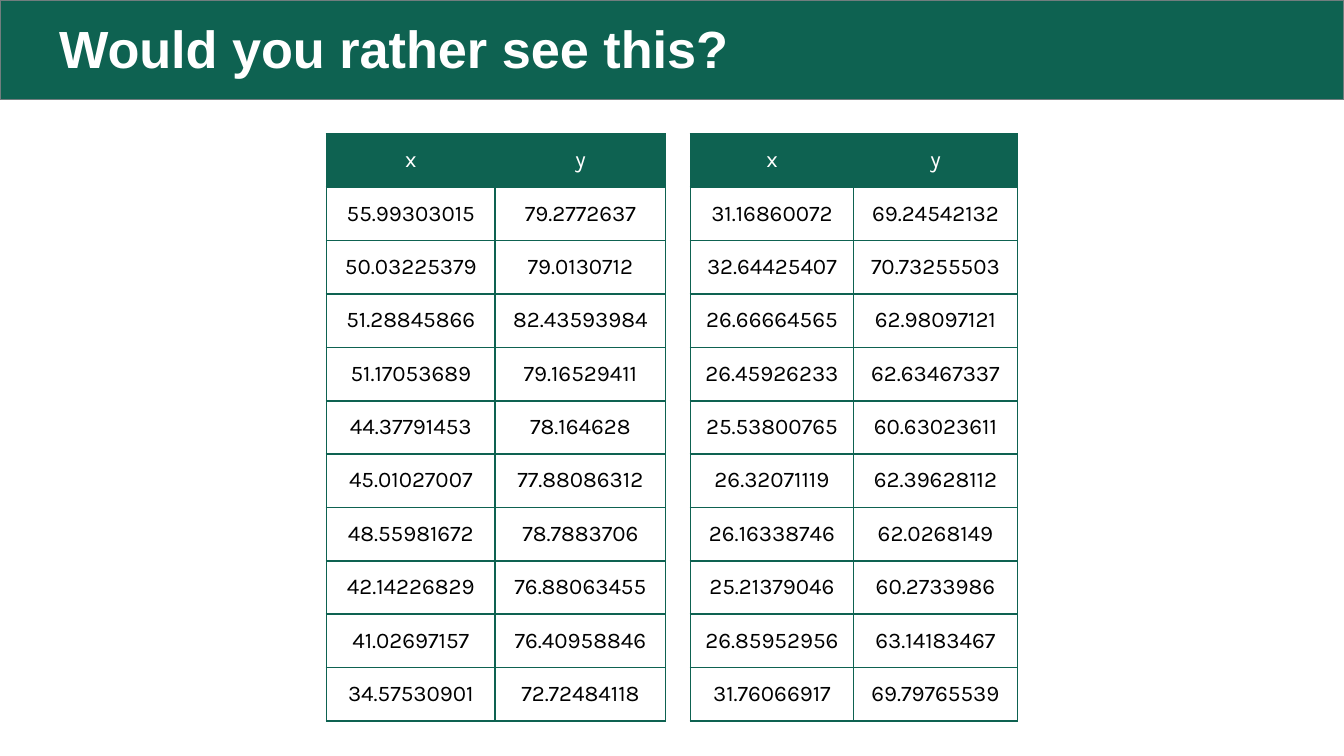
"""Build a slide that shows x and y values in two side-by-side tables."""
from lxml.etree import SubElement
from pptx import Presentation
from pptx.dml.color import RGBColor
from pptx.enum.shapes import MSO_SHAPE
from pptx.enum.text import MSO_ANCHOR, PP_ALIGN
from pptx.oxml.ns import qn
from pptx.util import Cm, Pt

GREEN = RGBColor(0x0E, 0x62, 0x51)
GRAY = RGBColor(0x71, 0x7D, 0x7E)
WHITE = RGBColor(0xFF, 0xFF, 0xFF)
BLACK = RGBColor(0x00, 0x00, 0x00)
MARGIN = Cm(0.25)
ROW_HEIGHT = Cm(1)
HEADER = ("x", "y")

LEFT_POINTS = [
    ("55.99303015", "79.2772637"),
    ("50.03225379", "79.0130712"),
    ("51.28845866", "82.43593984"),
    ("51.17053689", "79.16529411"),
    ("44.37791453", "78.164628"),
    ("45.01027007", "77.88086312"),
    ("48.55981672", "78.7883706"),
    ("42.14226829", "76.88063455"),
    ("41.02697157", "76.40958846"),
    ("34.57530901", "72.72484118"),
]
RIGHT_POINTS = [
    ("31.16860072", "69.24542132"),
    ("32.64425407", "70.73255503"),
    ("26.66664565", "62.98097121"),
    ("26.45926233", "62.63467337"),
    ("25.53800765", "60.63023611"),
    ("26.32071119", "62.39628112"),
    ("26.16338746", "62.0268149"),
    ("25.21379046", "60.2733986"),
    ("26.85952956", "63.14183467"),
    ("31.76066917", "69.79765539"),
]
TABLES = [
    (Cm(6.17), (Cm(3.19), Cm(3.22)), LEFT_POINTS),
    (Cm(13.05), (Cm(3.08), Cm(3.1)), RIGHT_POINTS),
]


def add_borders(cell):
    properties = cell._tc.get_or_add_tcPr()
    for side in ("a:lnL", "a:lnR", "a:lnT", "a:lnB"):
        line = SubElement(properties, qn(side), w=str(Pt(1)))
        fill = SubElement(line, qn("a:solidFill"))
        SubElement(fill, qn("a:srgbClr"), val=str(GREEN))


presentation = Presentation()
presentation.slide_width = Cm(25.4)
presentation.slide_height = Cm(14.29)
slide = presentation.slides.add_slide(presentation.slide_layouts[6])

banner = slide.shapes.add_shape(MSO_SHAPE.RECTANGLE, 0, 0, presentation.slide_width, Cm(1.88))
banner.shadow.inherit = False
banner.fill.solid()
banner.fill.fore_color.rgb = GREEN
banner.line.color.rgb = GRAY
banner.line.width = Pt(0.75)

title = slide.shapes.add_textbox(Cm(0.87), Cm(0.15), Cm(23.67), Cm(1.6))
title_frame = title.text_frame
title_frame.word_wrap = True
title_frame.vertical_anchor = MSO_ANCHOR.BOTTOM
title_frame.margin_left = title_frame.margin_right = MARGIN
title_frame.margin_top = title_frame.margin_bottom = MARGIN
paragraph = title_frame.paragraphs[0]
paragraph.text = "Would you rather see this?"
paragraph.font.name = "Arial"
paragraph.font.size = Pt(28)
paragraph.font.bold = True
paragraph.font.color.rgb = WHITE

for left, widths, points in TABLES:
    rows = [HEADER, *points]
    shape = slide.shapes.add_table(
        len(rows), len(HEADER), left, Cm(2.53), sum(widths), ROW_HEIGHT * len(rows)
    )
    table = shape.table
    table.first_row = False
    table.horz_banding = False
    for column, width in zip(table.columns, widths):
        column.width = width
    for row_index, values in enumerate(rows):
        table.rows[row_index].height = ROW_HEIGHT
        for column_index, value in enumerate(values):
            cell = table.cell(row_index, column_index)
            cell.margin_left = cell.margin_right = MARGIN
            cell.margin_top = cell.margin_bottom = MARGIN
            add_borders(cell)
            if row_index == 0:
                cell.fill.solid()
                cell.fill.fore_color.rgb = GREEN
            else:
                cell.fill.background()
            paragraph = cell.text_frame.paragraphs[0]
            paragraph.text = value
            paragraph.alignment = PP_ALIGN.CENTER
            paragraph.font.name = "Karla"
            paragraph.font.size = Pt(12)
            paragraph.font.color.rgb = WHITE if row_index == 0 else BLACK

presentation.save("out.pptx")
